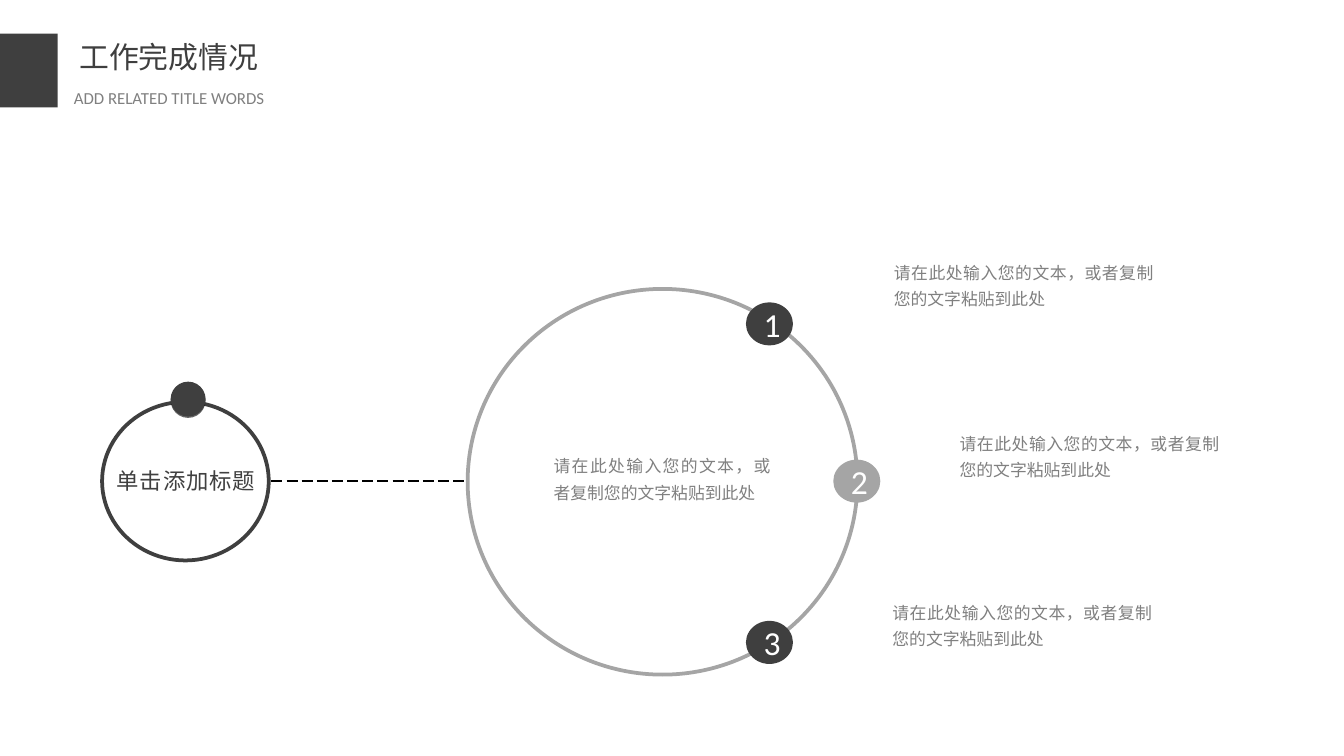
"""Build the work completion slide with linked circles and numbered notes."""
from lxml import etree
from pptx import Presentation
from pptx.dml.color import RGBColor
from pptx.enum.dml import MSO_LINE
from pptx.enum.shapes import MSO_CONNECTOR, MSO_SHAPE
from pptx.enum.text import MSO_ANCHOR, PP_ALIGN
from pptx.oxml.ns import qn
from pptx.util import Inches, Pt

DARK = RGBColor(0x3F, 0x3F, 0x3F)
LABEL = RGBColor(0x40, 0x40, 0x40)
GREY = RGBColor(0x80, 0x80, 0x80)
SILVER = RGBColor(0xA5, 0xA5, 0xA5)
BLACK = RGBColor(0, 0, 0)
WHITE = RGBColor(0xFF, 0xFF, 0xFF)

RECTANGLE, ELLIPSE = MSO_SHAPE.RECTANGLE, MSO_SHAPE.OVAL
STRAIGHT, LONG_DASH = MSO_CONNECTOR.STRAIGHT, MSO_LINE.LONG_DASH
JUSTIFY, CENTER, RIGHT = PP_ALIGN.JUSTIFY, PP_ALIGN.CENTER, PP_ALIGN.RIGHT
TOP, MIDDLE = MSO_ANCHOR.TOP, MSO_ANCHOR.MIDDLE

SLIDE_WIDTH = Inches(10)
SLIDE_HEIGHT = SLIDE_WIDTH * 9 // 16
LATIN_FONT, CHINESE_FONT = "Calibri", "Noto Sans CJK SC"
NARROW, STANDARD = (0.08, 0.04), (0.1, 0.05)
NOTE = "请在此处输入您的文本，或者复制您的文字粘贴到此处"


def set_attributes(target, values):
    """Set every attribute named in a dict of format values."""
    for attribute, value in values.items():
        setattr(target, attribute, value)


def write_text(holder, text, size, color, font=CHINESE_FONT, align=JUSTIFY,
               anchor=TOP, insets=NARROW, wrap=True, line_spacing=None, tracking=None):
    """Write one formatted paragraph into a shape or text box."""
    side, edge = map(Inches, insets)
    frame = holder.text_frame
    set_attributes(frame, {
        "margin_left": side, "margin_right": side, "margin_top": edge,
        "margin_bottom": edge, "word_wrap": wrap, "vertical_anchor": anchor,
    })
    paragraph = frame.paragraphs[0]
    set_attributes(paragraph, {"alignment": align, "line_spacing": line_spacing})
    run = paragraph.add_run()
    run.text = text
    set_attributes(run.font, {"size": Pt(size), "name": font})
    run.font.color.rgb = color
    properties = run.font._element
    etree.SubElement(properties, qn("a:ea")).set("typeface", font)
    if tracking:
        properties.set("spc", str(int(tracking * 100)))


def add_label(slide, box, text, size, color, **text_format):
    """Add a text box holding one paragraph."""
    label = slide.shapes.add_textbox(*map(Inches, box))
    write_text(label, text, size, color, **text_format)


def add_solid(slide, kind, box, color, opacity=None):
    """Add a filled shape without outline."""
    solid = slide.shapes.add_shape(kind, *map(Inches, box))
    solid.shadow.inherit = False
    solid.fill.solid()
    solid.fill.fore_color.rgb = color
    solid.line.fill.background()
    if opacity is not None:
        tint = solid._element.spPr.find(".//" + qn("a:srgbClr"))
        etree.SubElement(tint, qn("a:alpha")).set("val", str(opacity * 1000))
    return solid


def add_ring(slide, box, color):
    """Add an unfilled circle with a two point outline."""
    ring = slide.shapes.add_shape(ELLIPSE, *map(Inches, box))
    ring.shadow.inherit = False
    ring.fill.background()
    ring.line.color.rgb = color
    ring.line.width = Pt(2)


def add_dashed_link(slide, start, end, level):
    """Add a horizontal dashed line."""
    link = slide.shapes.add_connector(
        STRAIGHT, *map(Inches, (start, level, end, level)))
    link.line.color.rgb = BLACK
    set_attributes(link.line, {"width": Pt(0.75), "dash_style": LONG_DASH})
    etree.SubElement(link._element.spPr, qn("a:effectLst"))


def add_number(slide, left, top, number, color):
    """Add a numbered marker."""
    marker = add_solid(slide, ELLIPSE, (left, top, 0.35, 0.32), color)
    write_text(marker, str(number), 18, WHITE, font=LATIN_FONT,
               align=CENTER, anchor=MIDDLE)


def add_heading(slide):
    """Add the title block at the top left."""
    add_solid(slide, RECTANGLE, (0, 0.25, 0.43, 0.55), DARK)
    add_label(slide, (0.51, 0.25, 2.01, 0.35), "工作完成情况", 16, DARK)
    add_label(slide, (0.47, 0.61, 2.23, 0.23), "ADD RELATED TITLE WORDS", 9, GREY,
              font=LATIN_FONT)


def main():
    """Build and save the slide."""
    deck = Presentation()
    set_attributes(deck, {"slide_width": SLIDE_WIDTH, "slide_height": SLIDE_HEIGHT})
    slide = deck.slides.add_slide(deck.slide_layouts[6])

    add_heading(slide)
    add_ring(slide, (3.48, 2.15, 2.9, 2.87), SILVER)
    add_label(slide, (4.02, 3.3, 1.81, 0.49), NOTE, 9, GREY,
              insets=STANDARD, line_spacing=1.3)
    add_dashed_link(slide, 2.02, 3.48, 3.58)

    steps = [
        ((5.55, 2.25), DARK, (6.57, 1.87)),
        ((6.2, 3.42), SILVER, (7.06, 3.14)),
        ((5.55, 4.62), DARK, (6.56, 4.4)),
    ]
    for number, (marker_at, color, note_at) in enumerate(steps, 1):
        add_label(slide, (*note_at, 2.09, 0.45), NOTE, 9, GREY, line_spacing=1.3)
        add_number(slide, *marker_at, number, color)

    add_ring(slide, (0.76, 2.99, 1.24, 1.18), DARK)
    add_label(slide, (0.75, 3.43, 1.25, 0.3), "单击添加标题", 12, LABEL,
              align=RIGHT, insets=STANDARD, wrap=False, tracking=0.5)
    add_solid(slide, ELLIPSE, (1.27, 2.85, 0.26, 0.26), BLACK, opacity=60)
    add_solid(slide, ELLIPSE, (1.27, 2.84, 0.26, 0.26), DARK)
    deck.save("out.pptx")


if __name__ == "__main__":
    main()
